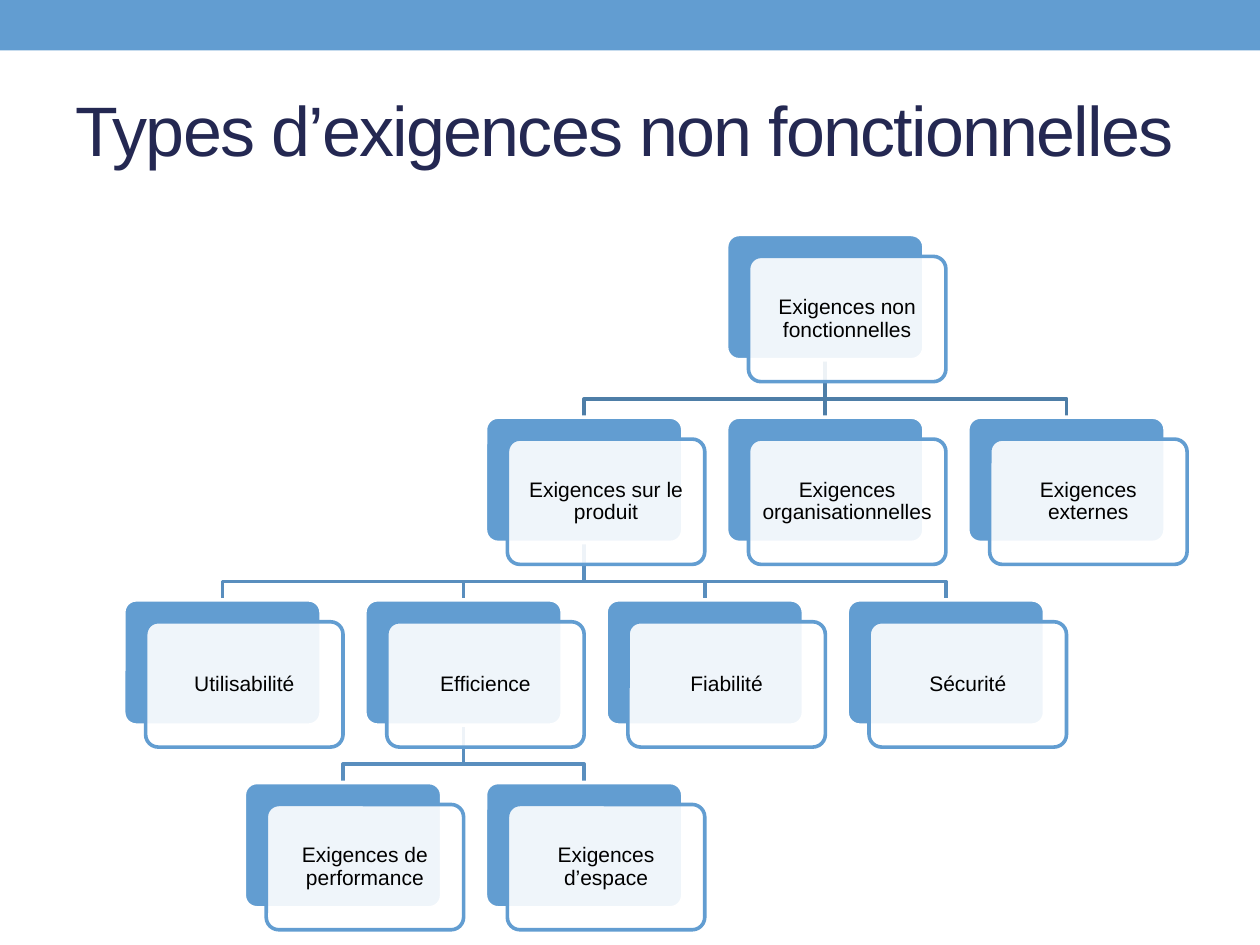
import pptx
import pptx.util
import pptx.dml.color
import pptx.enum.shapes
import pptx.enum.text
import pptx.oxml
import pptx.oxml.ns

Pt = pptx.util.Pt
SHAPES = pptx.enum.shapes.MSO_SHAPE

TITLE = "Types d’exigences non fonctionnelles"
# Each requirement is (label, children).
REQUIREMENTS = ("Exigences non fonctionnelles", [
    ("Exigences sur le produit", [
        ("Utilisabilité", []),
        ("Efficience", [
            ("Exigences de performance", []),
            ("Exigences d’espace", []),
        ]),
        ("Fiabilité", []),
        ("Sécurité", []),
    ]),
    ("Exigences organisationnelles", []),
    ("Exigences externes", []),
])
COLORS = {"blue": "629DD1", "navy": "242852", "white": "FFFFFF", "black": "000000",
          "upper_link": "4E7EA7", "lower_link": "598EBE"}

CARD_W, CARD_H = 112.8, 71.6
FRONT_OFFSET = 12.53
COLUMN_PITCH, LEVEL_PITCH = 137.8, 104.4
LEFT, TOP = 70.7, 134
ROOT_COLUMN = 2.5
ELBOW_DROP = 22.3
LINE_W = 2.08


def rgb(name):
    return pptx.dml.color.RGBColor.from_string(COLORS[name])


def place(node, column, level=0):
    """Return (label, column, level, parent column), children centred below parents."""
    def visit(node, column, level, parent):
        label, children = node
        placed = [(label, column, level, parent)]
        first = column - (len(children) - 1) / 2
        for i, child in enumerate(children):
            placed += visit(child, first + i, level + 1, column)
        return placed
    return visit(node, column, level, None)


def corner(column, level):
    return LEFT + column * COLUMN_PITCH, TOP + level * LEVEL_PITCH


def add_link(slide, parent_column, column, level):
    x0, y0 = corner(parent_column, level - 1)
    x1, y1 = corner(column, level)
    x0, x1, y0 = x0 + CARD_W / 2, x1 + CARD_W / 2, y0 + CARD_H
    if column == parent_column:
        link = slide.shapes.add_connector(
            pptx.enum.shapes.MSO_CONNECTOR.STRAIGHT, Pt(x0), Pt(y0), Pt(x1), Pt(y1))
        link._element.spPr.append(pptx.oxml.parse_xml(
            "<a:effectLst %s/>" % pptx.oxml.ns.nsdecls("a")))
    else:
        bend = y0 + ELBOW_DROP
        outline = slide.shapes.build_freeform(Pt(x0), Pt(y0))
        outline.add_line_segments(
            [(Pt(x), Pt(y)) for x, y in ((x0, bend), (x1, bend), (x1, y1))], close=False)
        link = outline.convert_to_shape()
        link.fill.background()
        link.shadow.inherit = False
    link.line.color.rgb = rgb("upper_link" if level == 1 else "lower_link")
    link.line.width = Pt(LINE_W)


def add_panel(slide, kind, x, y, width, height, fill, line=None):
    panel = slide.shapes.add_shape(kind, Pt(x), Pt(y), Pt(width), Pt(height))
    panel.shadow.inherit = False
    panel.fill.solid()
    panel.fill.fore_color.rgb = rgb(fill)
    if line:
        panel.adjustments[0] = 0.1
        panel.line.color.rgb = rgb(line)
        panel.line.width = Pt(LINE_W)
    else:
        panel.line.fill.background()
    return panel


def add_card(slide, label, column, level):
    """Draw a blue card with a translucent labelled card in front of it."""
    x, y = corner(column, level)
    add_panel(slide, SHAPES.ROUNDED_RECTANGLE, x, y, CARD_W, CARD_H, "blue", "white")
    front = add_panel(slide, SHAPES.ROUNDED_RECTANGLE, x + FRONT_OFFSET, y + FRONT_OFFSET,
                      CARD_W, CARD_H, "white", "blue")
    fill_color = front._element.spPr.find(
        pptx.oxml.ns.qn("a:solidFill")).find(pptx.oxml.ns.qn("a:srgbClr"))
    fill_color.append(pptx.oxml.parse_xml(
        '<a:alpha %s val="90000"/>' % pptx.oxml.ns.nsdecls("a")))
    frame = front.text_frame
    frame.word_wrap = True
    frame.vertical_anchor = pptx.enum.text.MSO_ANCHOR.MIDDLE
    frame.margin_left = frame.margin_right = Pt(3.6)
    frame.margin_top = frame.margin_bottom = Pt(3.6)
    paragraph = frame.paragraphs[0]
    paragraph.text = label
    paragraph.alignment = pptx.enum.text.PP_ALIGN.CENTER
    paragraph.line_spacing = 0.9
    paragraph.font.name = "Arial"
    paragraph.font.size = Pt(12)
    paragraph.font.color.rgb = rgb("black")


def set_title(slide):
    title = slide.shapes.title
    title.left, title.top, title.width, title.height = Pt(36), Pt(41.8), Pt(648), Pt(77.8)
    frame = title.text_frame
    frame.word_wrap = True
    frame.auto_size = pptx.enum.text.MSO_AUTO_SIZE.NONE
    frame.vertical_anchor = pptx.enum.text.MSO_ANCHOR.TOP
    frame.margin_top = Pt(7.7)
    paragraph = frame.paragraphs[0]
    paragraph.text = TITLE
    paragraph.alignment = pptx.enum.text.PP_ALIGN.LEFT
    paragraph.font.name = "Arial"
    paragraph.font.size = Pt(40)
    paragraph.font.color.rgb = rgb("navy")
    paragraph.runs[0].font._element.set("spc", "-100")


def main():
    deck = pptx.Presentation()
    deck.slide_width, deck.slide_height = Pt(720), Pt(540)
    slide = deck.slides.add_slide(deck.slide_layouts[5])
    add_panel(slide, SHAPES.RECTANGLE, 0, 0, 720, 28.8, "blue")
    set_title(slide)
    placed = place(REQUIREMENTS, ROOT_COLUMN)
    for label, column, level, parent_column in placed:
        if parent_column is not None:
            add_link(slide, parent_column, column, level)
    for label, column, level, parent_column in placed:
        add_card(slide, label, column, level)
    deck.save("out.pptx")


if __name__ == "__main__":
    main()
